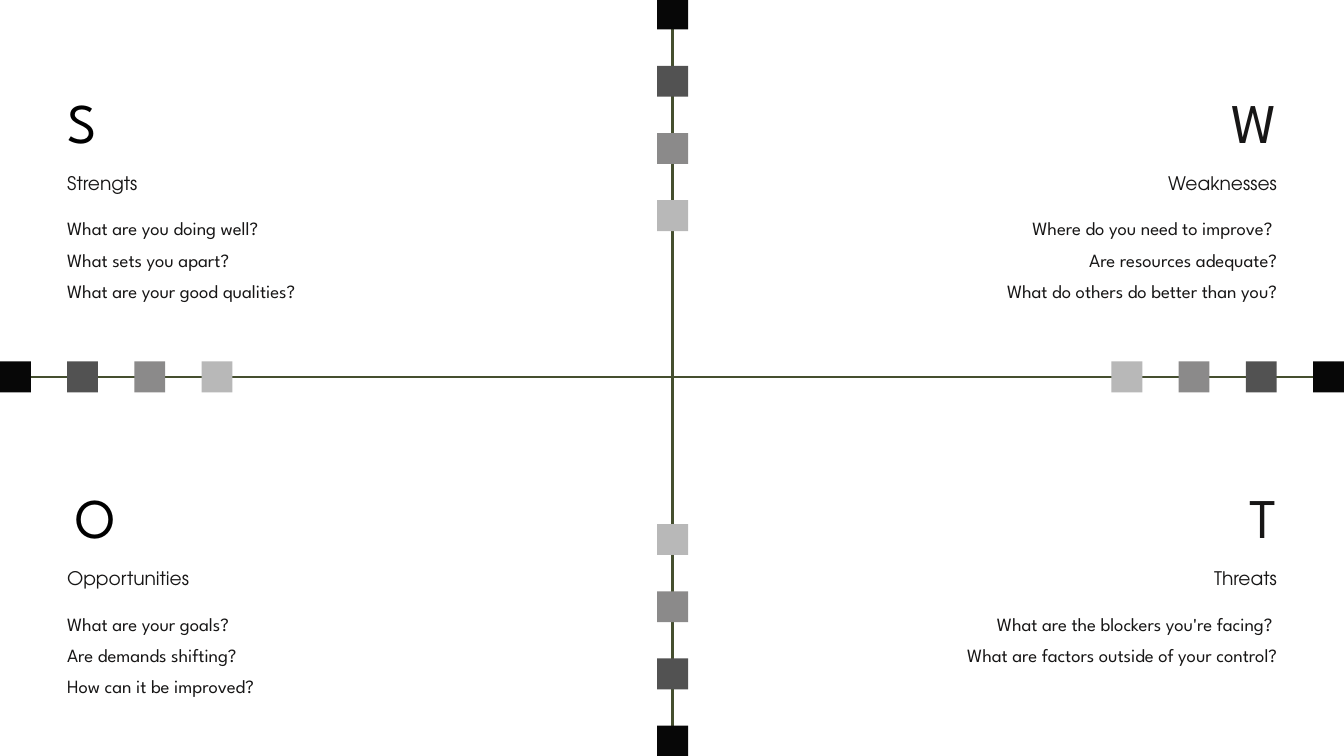
from dataclasses import dataclass

from lxml.etree import SubElement
from pptx import Presentation
from pptx.dml.color import RGBColor
from pptx.enum.shapes import MSO_CONNECTOR, MSO_SHAPE
from pptx.enum.text import MSO_AUTO_SIZE, PP_ALIGN
from pptx.oxml.ns import qn
from pptx.slide import Slide
from pptx.util import Inches, Pt

WIDTH = 10
HEIGHT = WIDTH * 9 / 16
BODY_FONT = "League Spartan"
TITLE_FONT = "TeX Gyre Adventor"
INK = "171616"
BLACK = "000000"
SHADES = ["070707", "525252", "8B8A8A", "B8B8B8"]
SQUARE = 0.23
STEP = 0.5
TOP_ROW, BOTTOM_ROW = 0.45, 3.39
LEFT, RIGHT = PP_ALIGN.LEFT, PP_ALIGN.RIGHT

QUADRANTS = [
    ("S", "Strengts", LEFT, 0.5, TOP_ROW, BLACK,
     ["What are you doing well?", "What sets you apart?", "What are your good qualities?"]),
    ("O", "Opportunities", LEFT, 0.56, BOTTOM_ROW, BLACK,
     ["What are your goals?", "Are demands shifting?", "How can it be improved?"]),
    ("W", "Weaknesses", RIGHT, 9.14, TOP_ROW, INK,
     ["Where do you need to improve? ", "Are resources adequate?",
      "What do others do better than you?"]),
    ("T", "Threats", RIGHT, 9.14, BOTTOM_ROW, INK,
     ["What are the blockers you're facing? ", "What are factors outside of your control?"]),
]

ARMS = {
    "top": (4.89, -0.01, 0, STEP),
    "bottom": (4.89, 5.4, 0, -STEP),
    "left": (0, 2.69, STEP, 0),
    "right": (9.77, 2.69, -STEP, 0),
}


def color(value):
    """Turn a hex string into a colour."""
    return RGBColor.from_string(value)


def add_paragraph(paragraph, text, *, font=BODY_FONT, size=10, ink=INK, align=LEFT):
    """Write formatted text into a paragraph."""
    paragraph.alignment = align
    paragraph.line_spacing = 1.4
    run = paragraph.add_run()
    run.text = text
    run.font.name = font
    run.font.size = Pt(size)
    run.font.color.rgb = color(ink)


@dataclass
class SwotSlide:
    """Hold the style and the slide being drawn."""

    slide: Slide
    line_color: str = "454F2F"
    line_width: float = 1.5

    def text(self, lines, left, top, width, height, **style):
        """Add a text box with one paragraph per line."""
        shape = self.slide.shapes.add_textbox(
            Inches(left), Inches(top), Inches(width), Inches(height))
        frame = shape.text_frame
        frame.word_wrap = True
        frame.auto_size = MSO_AUTO_SIZE.SHAPE_TO_FIT_TEXT
        frame.margin_left = frame.margin_top = frame.margin_right = frame.margin_bottom = 0
        for index, line in enumerate(lines):
            paragraph = frame.add_paragraph() if index else frame.paragraphs[0]
            add_paragraph(paragraph, line, **style)

    def quadrant(self, letter, title, align, letter_left, top, ink, questions):
        """Add the letter, title and questions of one quadrant."""
        title_left, list_left, list_width = (
            (0.5, 0.5, 3.74) if align == LEFT else (5.76, 5.65, 3.85))
        self.text([title], title_left, top + 0.76, 3.74, 0.17, font=TITLE_FONT, align=align)
        self.text(questions, list_left, top + 1.1, list_width, 0.22 * len(questions), align=align)
        self.text([letter], letter_left, top, 0.36, 0.5, size=30, ink=ink, align=align)

    def axis(self, begin_x, begin_y, end_x, end_y):
        """Add an axis line."""
        connector = self.slide.shapes.add_connector(
            MSO_CONNECTOR.STRAIGHT, Inches(begin_x), Inches(begin_y), Inches(end_x), Inches(end_y))
        connector.line.color.rgb = color(self.line_color)
        connector.line.width = Pt(self.line_width)
        SubElement(connector._element.spPr, qn("a:effectLst"))
        return connector

    def square(self, left, top, fill):
        """Add a plain square marker."""
        shape = self.slide.shapes.add_shape(
            MSO_SHAPE.RECTANGLE, Inches(left), Inches(top), Inches(SQUARE), Inches(SQUARE))
        shape.shadow.inherit = False
        shape.fill.solid()
        shape.fill.fore_color.rgb = color(fill)
        shape.line.fill.background()
        return shape

    def arm(self, left, top, step_x, step_y):
        """Add squares fading inward and return the outermost one."""
        squares = [self.square(left + index * step_x, top + index * step_y, shade)
                   for index, shade in enumerate(SHADES)]
        return squares[0]


def main():
    """Build and save the SWOT slide."""
    presentation = Presentation()
    presentation.slide_width = Inches(WIDTH)
    presentation.slide_height = Inches(HEIGHT)
    swot = SwotSlide(presentation.slides.add_slide(presentation.slide_layouts[6]))
    for quadrant in QUADRANTS:
        swot.quadrant(*quadrant)
    vertical = swot.axis(WIDTH / 2, 0, WIDTH / 2, HEIGHT)
    horizontal = swot.axis(WIDTH, HEIGHT / 2, 0, HEIGHT / 2)
    ends = {name: swot.arm(*arm) for name, arm in ARMS.items()}
    vertical.begin_connect(ends["top"], 0)
    vertical.end_connect(ends["bottom"], 2)
    horizontal.begin_connect(ends["right"], 3)
    horizontal.end_connect(ends["left"], 1)
    presentation.save("out.pptx")


if __name__ == "__main__":
    main()
